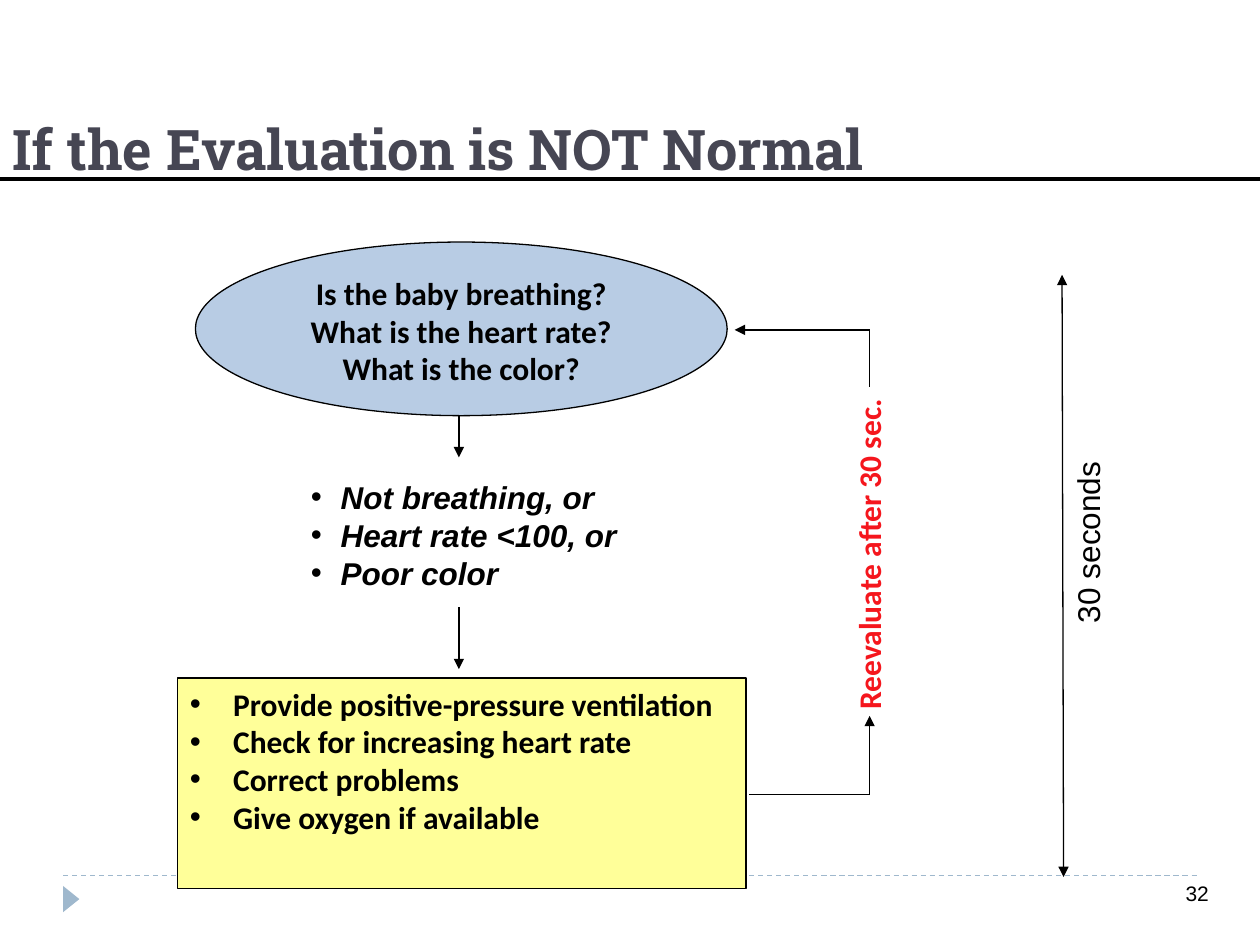
from pptx import Presentation as Show
from pptx.dml.color import RGBColor as Rgb
from pptx.enum.dml import MSO_LINE as Dash
from pptx.enum.shapes import MSO_CONNECTOR as Link, MSO_SHAPE as Form
from pptx.enum.text import MSO_ANCHOR as Anchor, MSO_AUTO_SIZE as Fit, PP_ALIGN as Align
from pptx.oxml.ns import qn
from pptx.util import Cm, Pt
from lxml.etree import SubElement as Sub


def paint(part, tone):
    part.solid()
    part.fore_color.rgb = Rgb.from_string(tone)


def apply(item, values):
    for name, value in values.items():
        setattr(item, name, value)


class Deck:
    ink = "000000"
    base = {"name": "Arial", "size": Pt(18), "bold": False, "italic": False}
    bold = {"name": "Calibri", "bold": True}
    frame = {"word_wrap": True, "auto_size": Fit.NONE, "vertical_anchor": Anchor.TOP,
             "margin_left": Cm(0.25), "margin_right": Cm(0.25),
             "margin_top": Cm(0.13), "margin_bottom": Cm(0.13)}

    def __init__(self):
        self.show = Show()
        apply(self.show, {"slide_width": Cm(25.4), "slide_height": Cm(19.05)})
        self.slide = self.show.slides.add_slide(self.show.slide_layouts[5])
        self.shapes = self.slide.shapes

    def label(self, shape, lines, font, tone=ink, align=Align.LEFT, indent=0, **frame):
        body = shape.text_frame
        apply(body, {**self.frame, **frame})
        body.text = "\n".join(lines)
        for para in body.paragraphs:
            para.alignment = align
            if indent:
                props = para._p.get_or_add_pPr()
                props.set("marL", str(Cm(indent)))
                props.set("indent", str(-Cm(indent)))
                Sub(props, qn("a:buFont")).set("typeface", "Arial")
                Sub(props, qn("a:buChar")).set("char", "•")
            for run in para.runs:
                apply(run.font, {**self.base, **font})
                paint(run.font.fill, tone)

    def title(self, text, box, **style):
        shape = self.shapes.title
        apply(shape, dict(zip(("left", "top", "width", "height"), map(Cm, box))))
        self.label(shape, [text], **style)

    def text(self, lines, box, turn=False, **style):
        shape = self.shapes.add_textbox(*map(Cm, box))
        self.label(shape, lines, **style)
        if turn:
            shape.text_frame._txBody.bodyPr.set("vert", "vert270")

    def shape(self, form, box, fill, edge=None):
        shape = self.shapes.add_shape(form, *map(Cm, box))
        shape.shadow.inherit = False
        paint(shape.fill, fill)
        if edge:
            paint(shape.line.fill, edge)
            shape.line.width = Pt(0.75)
        else:
            shape.line.fill.background()
        return shape

    def line(self, ends, tone=ink, width=0.75, dash=None, tips=()):
        link = self.shapes.add_connector(Link.STRAIGHT, *map(Cm, ends))
        paint(link.line.fill, tone)
        apply(link.line, {"width": Pt(width), "dash_style": dash})
        for tip in tips:
            Sub(link.line._get_or_add_ln(), qn(f"a:{tip}End")).set("type", "triangle")
        Sub(link._element.spPr, qn("a:effectLst"))


def main():
    deck = Deck()
    deck.line((1.27, 17.65, 24.13, 17.65), "9FB8CD", dash=Dash.DASH)
    mark = deck.shape(Form.ISOSCELES_TRIANGLE, (1.17, 17.96, 0.53, 0.33), "9FB8CD")
    mark.rotation = 90

    deck.title("If the Evaluation is NOT Normal", (0, 0.61, 25.4, 3.18),
               font={"name": "Roboto Slab", "size": Pt(32), "bold": True},
               tone="464653", vertical_anchor=Anchor.BOTTOM)
    deck.line((0, 3.61, 25.4, 3.61), width=2.25)

    check = deck.shape(Form.OVAL, (3.94, 4.88, 10.72, 3.5), "B8CCE4", deck.ink)
    deck.label(check, ["Is the baby breathing?", "What is the heart rate?",
                       "What is the color?"], deck.bold, align=Align.CENTER)

    deck.text(["Not breathing, or", "Heart rate <100, or", "Poor color"],
              (6.02, 9.6, 6.8, 2.36), font={"bold": True, "italic": True},
              indent=0.6, vertical_anchor=Anchor.MIDDLE)

    steps = deck.shape(Form.RECTANGLE, (3.58, 13.67, 11.46, 4.24), "FFFF99", deck.ink)
    deck.label(steps, ["Provide positive-pressure ventilation",
                       "Check for increasing heart rate", "Correct problems",
                       "Give oxygen if available"], deck.bold, indent=0.87)

    side = {"turn": True, "align": Align.CENTER, "word_wrap": False,
            "vertical_anchor": Anchor.MIDDLE}
    deck.text(["Reevaluate after 30 sec."], (17, 7.77, 1.02, 6.81),
              font=deck.bold, tone="F5161D", **side)
    deck.text(["30 seconds"], (21.29, 8.79, 1.27, 4.29), font={}, **side)
    deck.text(["32"], (23.65, 17.63, 0.97, 0.76), font={"size": Pt(12)}, word_wrap=False)

    deck.line((21.41, 5.54, 21.44, 17.68), tips=("head", "tail"))
    for ends in ((9.25, 8.38, 9.25, 9.22), (9.25, 12.24, 9.25, 13.49),
                 (17.53, 16.02, 17.53, 14.43), (17.53, 6.65, 14.81, 6.65)):
        deck.line(ends, tips=("tail",))
    for ends in ((17.53, 7.8, 17.53, 6.65), (17.53, 16.02, 15.09, 16.02)):
        deck.line(ends)

    deck.show.save("out.pptx")


if __name__ == "__main__":
    main()
